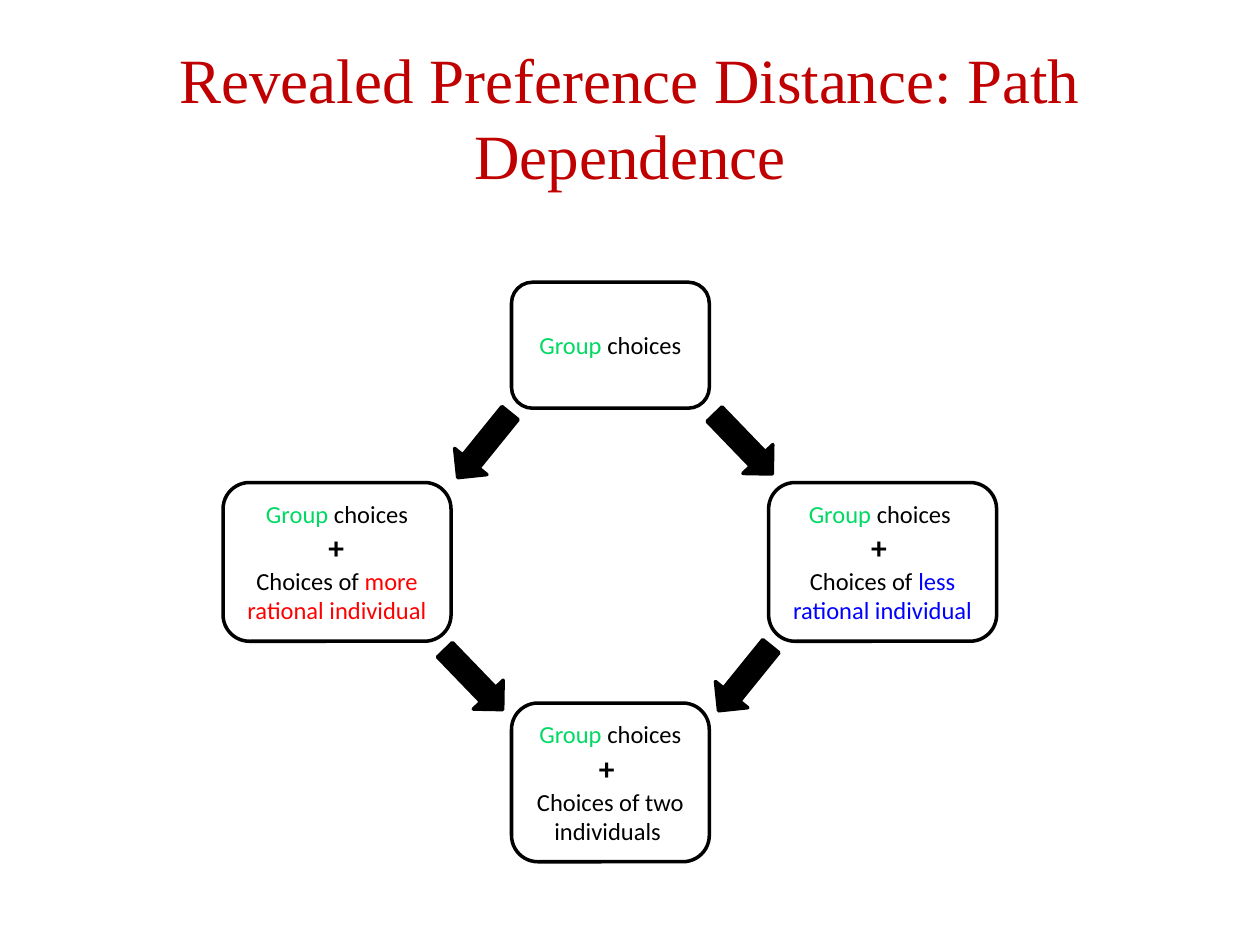
from pptx import Presentation
from pptx.dml.color import RGBColor
from pptx.enum.shapes import MSO_SHAPE
from pptx.enum.text import MSO_ANCHOR, PP_ALIGN
from pptx.util import Inches, Pt

ROUND = MSO_SHAPE.ROUNDED_RECTANGLE
ARROW = MSO_SHAPE.RIGHT_ARROW
MIDDLE = MSO_ANCHOR.MIDDLE
CENTER = PP_ALIGN.CENTER

CRIMSON = RGBColor(0xC0, 0x00, 0x00)
BLACK = RGBColor(0x00, 0x00, 0x00)
GREEN = RGBColor(0x00, 0xDA, 0x63)
RED = RGBColor(0xFF, 0x00, 0x00)
BLUE = RGBColor(0x00, 0x00, 0xFF)

# Runs are (text, colour, size, bold)
GROUP = ("Group ", GREEN, 14, False)
PLUS = ("+ ", BLACK, 18, True)


def plain(text, color=BLACK):
    return (text, color, 14, False)


# Box on the slide and its paragraphs
STAGES = [
    ((4.06, 2.24, 1.57, 1), [[GROUP, plain("choices")]]),
    ((4.06, 5.58, 1.57, 1.26), [
        [GROUP, plain("choices "), PLUS],
        [plain("Choices of two individuals ")]]),
    ((1.77, 3.83, 1.81, 1.26), [
        [GROUP, plain("choices")],
        [plain(" "), PLUS],
        [plain("Choices of "), plain("more rational individual", RED)]]),
    ((6.1, 3.83, 1.81, 1.26), [
        [GROUP, plain("choices ")],
        [PLUS],
        [plain("Choices of "), plain("less rational individual", BLUE)]]),
]

# Left, top and angle of each arrow
ARROWS = [(3.51, 3.37, 129), (5.58, 5.22, 129),
          (5.57, 3.36, 46), (3.43, 5.23, 46)]


def add_title(slide, box):
    title = slide.shapes.title
    title.left, title.top, title.width, title.height = map(Inches, box)
    frame = title.text_frame
    frame.text = "Revealed Preference Distance: Path Dependence"
    frame.vertical_anchor = MIDDLE
    para = frame.paragraphs[0]
    para.alignment = CENTER
    font = para.runs[0].font
    font.name, font.size = "Times New Roman", Pt(36)
    font.color.rgb = CRIMSON


def add_form(slide, kind, box):
    """Add a shape with a black outline and no shadow."""
    form = slide.shapes.add_shape(kind, *map(Inches, box))
    form.shadow.inherit = False
    form.line.color.rgb = BLACK
    form.line.width = Pt(2)
    return form


def add_stage(slide, box, paras):
    form = add_form(slide, ROUND, box)
    form.fill.background()
    frame = form.text_frame
    frame.word_wrap = True
    frame.vertical_anchor = MIDDLE
    for i, parts in enumerate(paras):
        para = frame.add_paragraph() if i else frame.paragraphs[0]
        para.alignment = CENTER
        for text, color, size, bold in parts:
            run = para.add_run()
            run.text = text
            font = run.font
            font.name, font.size, font.bold = "Calibri", Pt(size), bold
            font.color.rgb = color


def add_arrow(slide, box, angle):
    form = add_form(slide, ARROW, box)
    form.fill.solid()
    form.fill.fore_color.rgb = BLACK
    form.rotation = angle


def main():
    deck = Presentation()
    deck.slide_width, deck.slide_height = Inches(10), Inches(7.5)
    slide = deck.slides.add_slide(deck.slide_layouts[5])
    add_title(slide, (0.5, 0.3, 9, 1.25))
    for box, paras in STAGES:
        add_stage(slide, box, paras)
    for left, top, angle in ARROWS:
        add_arrow(slide, (left, top, 0.66, 0.33), angle)
    deck.save("out.pptx")


if __name__ == "__main__":
    main()
